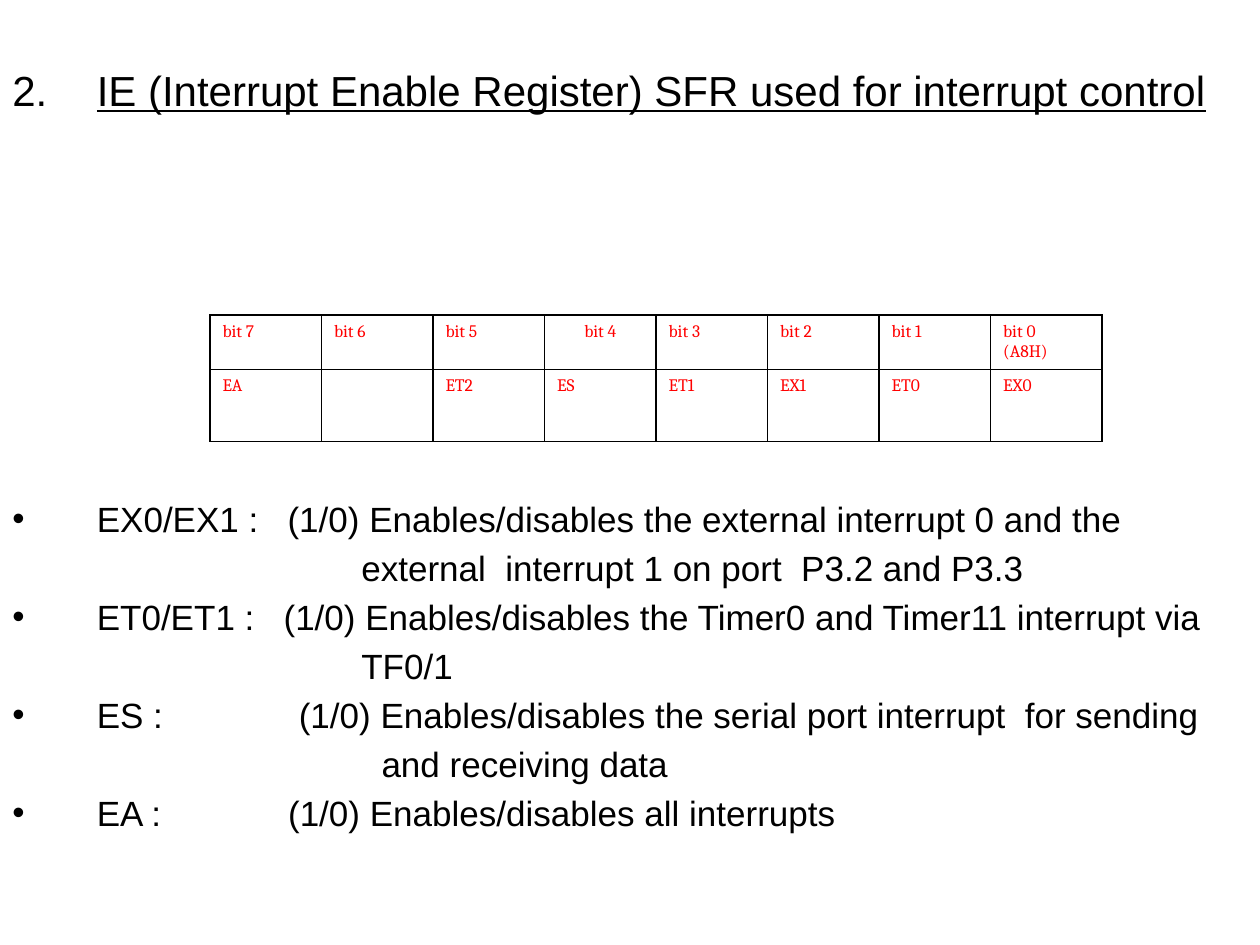
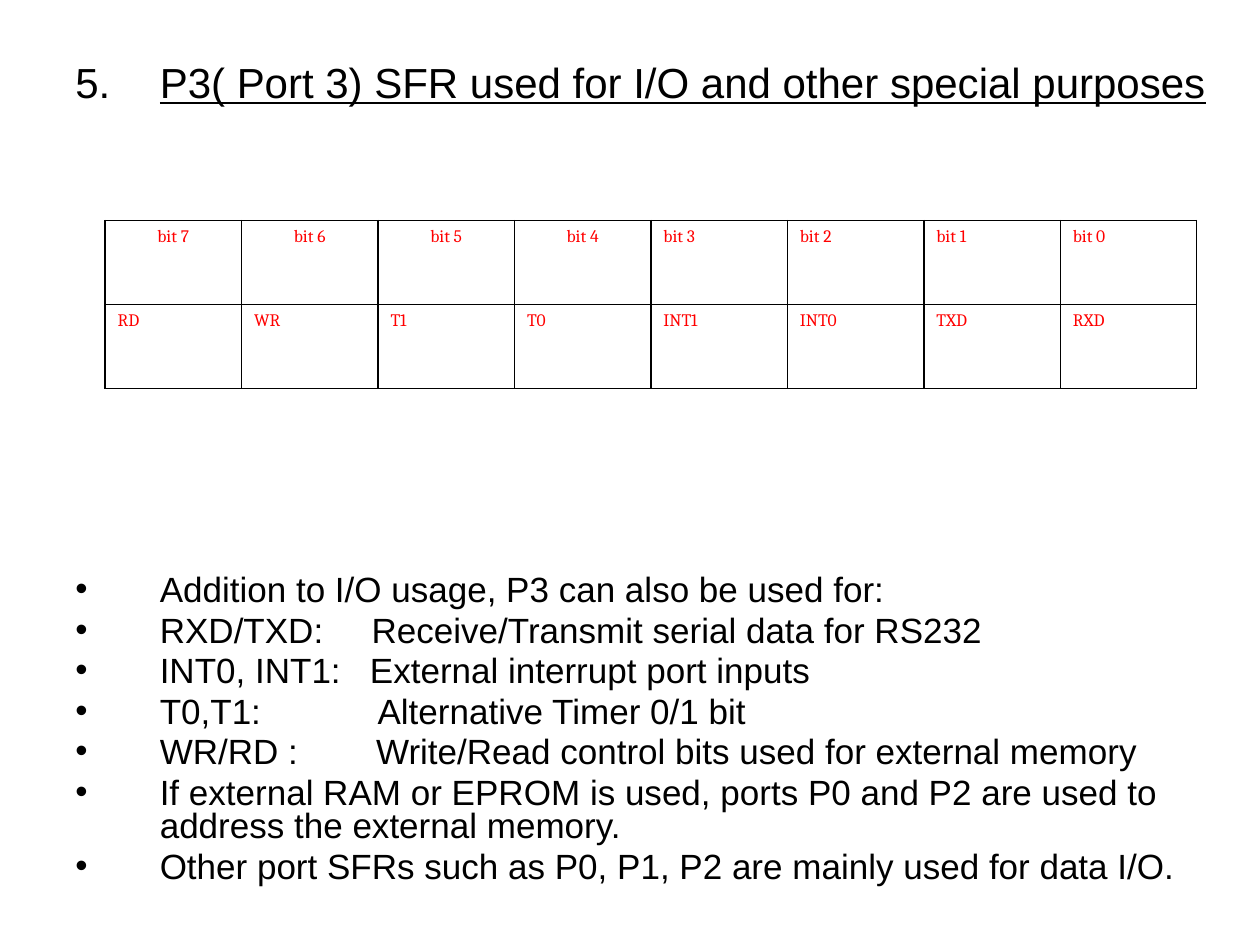
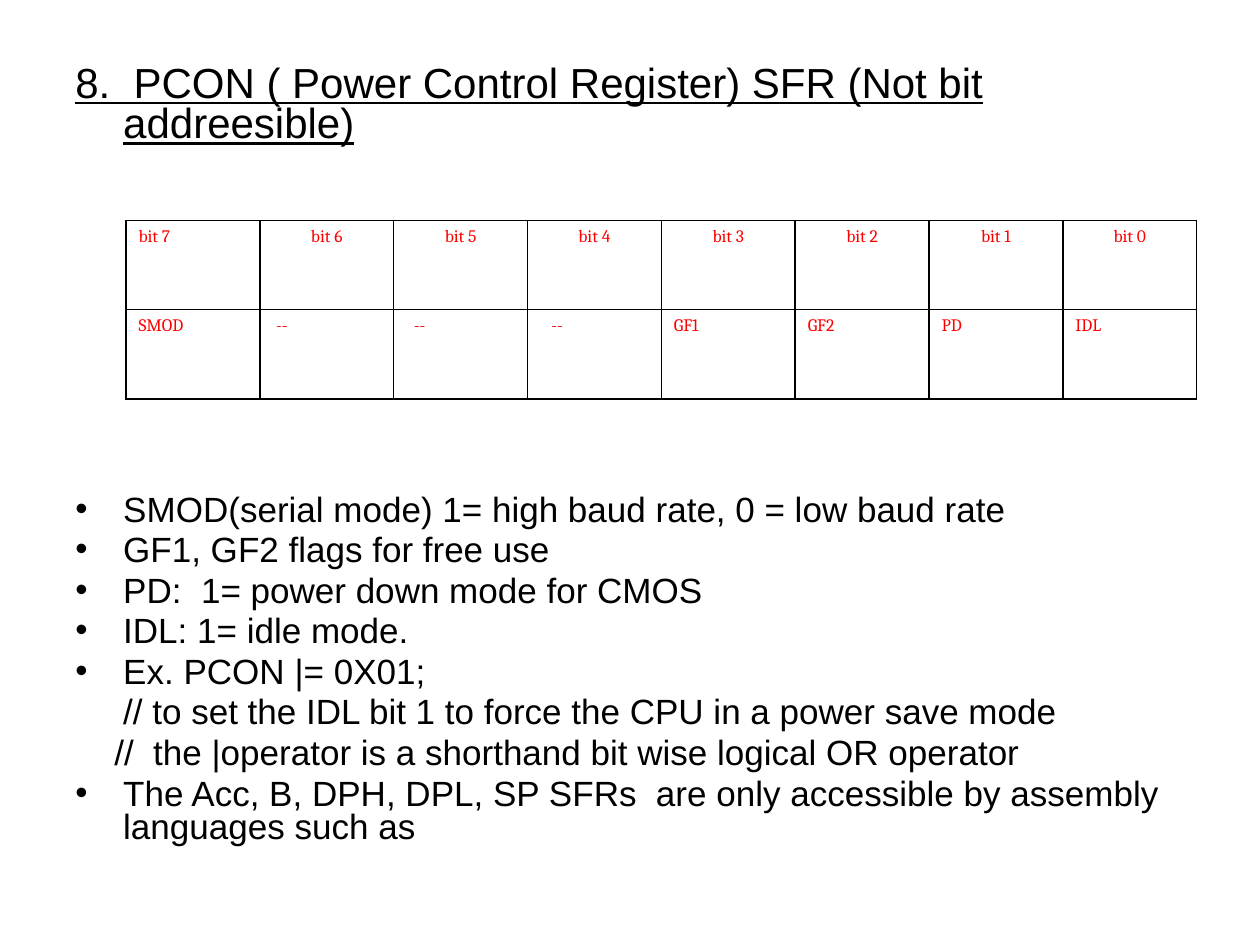
from dataclasses import dataclass

from lxml import etree
from pptx import Presentation
from pptx import util as u
from pptx.dml.color import RGBColor
from pptx.enum import text
from pptx.oxml import ns


@dataclass(frozen=True)
class Theme:
    ink: str = "000000"
    register: str = "FF0000"
    body_font: str = "Arial"
    table_font: str = "Cambria"
    heading_size: float = 24
    bullet_size: float = 20
    cell_size: float = 10
    heading_line: float = 23
    bullet_gap: float = 4
    border: float = 1


THEME = Theme()
WIDTH, HEIGHT = u.Inches(10), u.Inches(7.5)
COLUMNS, ROWS = 120, 90

HEADING = dict(name=THEME.body_font, size=u.Pt(THEME.heading_size), underline=True)
BODY = dict(name=THEME.body_font, size=u.Pt(THEME.bullet_size), underline=False)
CELL = dict(name=THEME.table_font, size=u.Pt(THEME.cell_size))


# Grid and XML helpers
def grid(left, top, width, height):
    across, down = WIDTH / COLUMNS, HEIGHT / ROWS
    return [round(n) for n in (left * across, top * down, width * across, height * down)]


def add_xml(parent, tag, **attributes):
    element = etree.SubElement(parent, ns.qn(tag))
    for name, value in attributes.items():
        element.set(name, str(value))
    return element


# Text
def add_span(para, words, style, color=THEME.ink, spacing=0):
    span = para.add_run()
    span.text = words
    for name, value in style.items():
        setattr(span.font, name, value)
    span.font.color.rgb = RGBColor.from_string(color)
    if spacing:
        span.font._element.set("spc", str(round(spacing * 100)))


def set_paragraph(para, margin, hang=0.0, line=None, before=0, marker=None, start=None):
    properties = para._p.get_or_add_pPr()
    properties.set("marL", str(u.Inches(margin)))
    properties.set("indent", str(-u.Inches(hang)))
    para.space_before = u.Pt(before)
    if line:
        para.line_spacing = u.Pt(line)
    if start:
        add_xml(properties, "a:buAutoNum", type="arabicPeriod", startAt=start)
    elif marker:
        add_xml(properties, "a:buFont", typeface=THEME.body_font)
        add_xml(properties, "a:buChar", char=marker)
    else:
        add_xml(properties, "a:buNone")


def add_body(page, place, inset, heading, number, hang, line, table_gap, items):
    """Heading above the table, then the list below it."""
    box = page.shapes.add_textbox(*grid(*place))
    frame = box.text_frame
    frame.word_wrap = True
    frame.margin_top = u.Inches(inset)
    para = frame.paragraphs[0]
    set_paragraph(para, hang, hang, THEME.heading_line, start=number)
    add_span(para, heading, HEADING)

    before = table_gap
    for item in items:
        para = frame.add_paragraph()
        if "margin" in item:
            set_paragraph(para, item["margin"], 0, line, before)
        else:
            set_paragraph(para, hang, hang, line, before, "•")
        if "label" in item:
            add_span(para, item["label"], BODY)
            add_span(para, " ", BODY, spacing=item["gap"])
        add_span(para, item["words"], BODY)
        before = THEME.bullet_gap


def point(words):
    return dict(words=words)


def entry(label, gap, words):
    return dict(label=label, gap=gap, words=words)


def continuation(margin, words):
    return dict(margin=margin, words=words)


# Register table
def set_cell(cell, words, centred, margin):
    properties = cell._tc.get_or_add_tcPr()
    for side in ("a:lnL", "a:lnR", "a:lnT", "a:lnB"):
        edge = add_xml(properties, side, w=u.Pt(THEME.border))
        add_xml(add_xml(edge, "a:solidFill"), "a:srgbClr", val=THEME.ink)
    cell.fill.background()
    for index, words_line in enumerate(words.splitlines()):
        frame = cell.text_frame
        para = frame.add_paragraph() if index else frame.paragraphs[0]
        set_paragraph(para, margin)
        para.alignment = text.PP_ALIGN.CENTER if centred else text.PP_ALIGN.LEFT
        add_span(para, words_line, CELL, THEME.register)


def add_register(page, place, flags, centred, heights=(1, 1), last_bit="", margins=None):
    """Bits 7 to 0 above their flags; centred holds the bits set in the middle."""
    bits = range(len(flags) - 1, -1, -1)
    table = page.shapes.add_table(2, len(flags), *grid(*place)).table
    table.first_row = table.horz_banding = False
    total = grid(*place)[3]
    for row, share in zip(table.rows, heights):
        row.height = round(total * share / sum(heights))
    for column, (bit, flag) in enumerate(zip(bits, flags)):
        name = f"bit {bit}" + (last_bit if bit == 0 else "")
        set_cell(table.cell(0, column), name, bit in centred, 0)
        set_cell(table.cell(1, column), flag, False, (margins or {}).get(bit, 0))


# Slides
def interrupt_enable(page):
    add_body(
        page, (0, 6, 120, 84), 0.09,
        "IE (Interrupt Enable Register) SFR used for interrupt control", 2,
        hang=0.67, line=24, table_gap=219,
        items=[
            entry("EX0/EX1 :", 11, "(1/0) Enables/disables the external interrupt 0 and the"),
            continuation(2.77, "external  interrupt 1 on port  P3.2 and P3.3"),
            entry("ET0/ET1 :", 11, "(1/0) Enables/disables the Timer0 and Timer11 interrupt via"),
            continuation(2.77, "TF0/1"),
            entry("ES :", 72, "(1/0) Enables/disables the serial port interrupt  for sending"),
            continuation(2.93, "and receiving data"),
            entry("EA :", 67, "(1/0) Enables/disables all interrupts"),
        ])
    add_register(page, (20, 30, 85, 12),
                 ["EA", "", "ET2", "ES", "ET1", "EX1", "ET0", "EX0"],
                 centred={4}, heights=(3, 4), last_bit="\n(A8H)")


def port_three(page):
    add_body(
        page, (6, 0, 114, 90), 0.53,
        "P3( Port 3) SFR used for I/O and other special purposes", 5,
        hang=0.67, line=19.2, table_gap=268,
        items=[
            point("Addition to I/O usage, P3 can also be used for:"),
            entry("RXD/TXD:", 22, "Receive/Transmit serial data for RS232"),
            entry("INT0, INT1:", 11, "External interrupt port inputs"),
            entry("T0,T1:", 61, "Alternative Timer 0/1 bit"),
            entry("WR/RD :", 39, "Write/Read control bits used for external memory"),
            point("If external RAM or EPROM is used, ports P0 and P2 are used to "
                  "address the external memory."),
            point("Other port SFRs such as P0, P1, P2 are mainly used for data I/O."),
        ])
    add_register(page, (10, 21, 104, 16),
                 ["RD", "WR", "T1", "T0", "INT1", "INT0", "TXD", "RXD"],
                 centred={4, 5, 6, 7})


def power_control(page):
    add_body(
        page, (6, 0, 109, 85), 0.53,
        "8.  PCON ( Power Control Register) SFR (Not bit addreesible)", None,
        hang=0.38, line=19.2, table_gap=199,
        items=[
            point("SMOD(serial mode) 1= high baud rate, 0 = low baud rate"),
            point("GF1, GF2 flags for free use"),
            point("PD:  1= power down mode for CMOS"),
            point("IDL: 1= idle mode."),
            point("Ex. PCON |= 0X01;"),
            continuation(0.38, "// to set the IDL bit 1 to force the CPU in a power save mode"),
            continuation(0.31, "//  the |operator is a shorthand bit wise logical OR operator"),
            point("The Acc, B, DPH, DPL, SP SFRs  are only accessible by assembly "
                  "languages such as"),
        ])
    add_register(page, (12, 21, 102, 17),
                 ["SMOD", "--", "--", "--", "GF1", "GF2", "PD", "IDL"],
                 centred=set(range(7)), margins={6: 0.03, 5: 0.06, 4: 0.09})


def main():
    deck = Presentation()
    deck.slide_width, deck.slide_height = WIDTH, HEIGHT
    for build in (interrupt_enable, port_three, power_control):
        build(deck.slides.add_slide(deck.slide_layouts[6]))
    deck.save("out.pptx")


if __name__ == "__main__":
    main()
